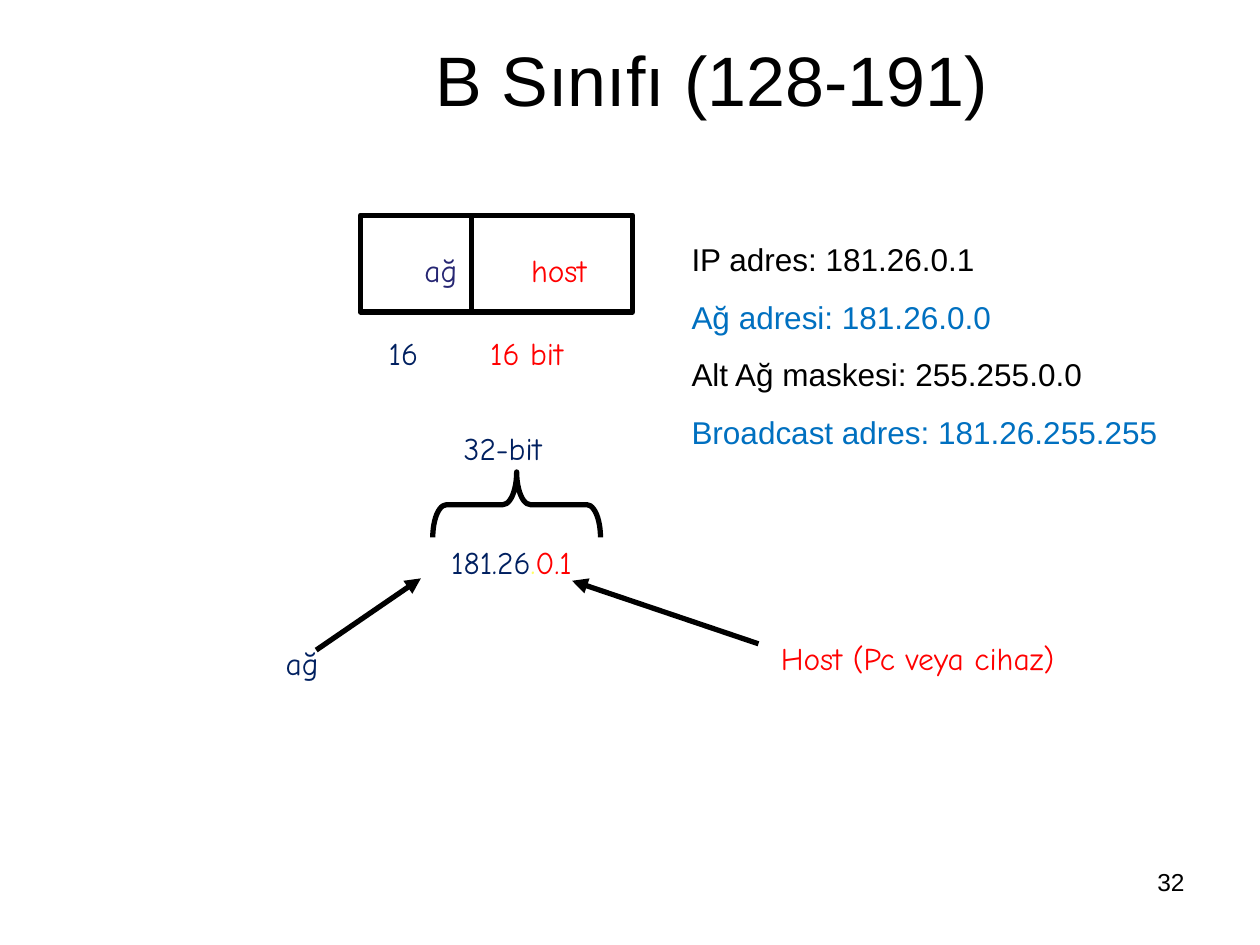
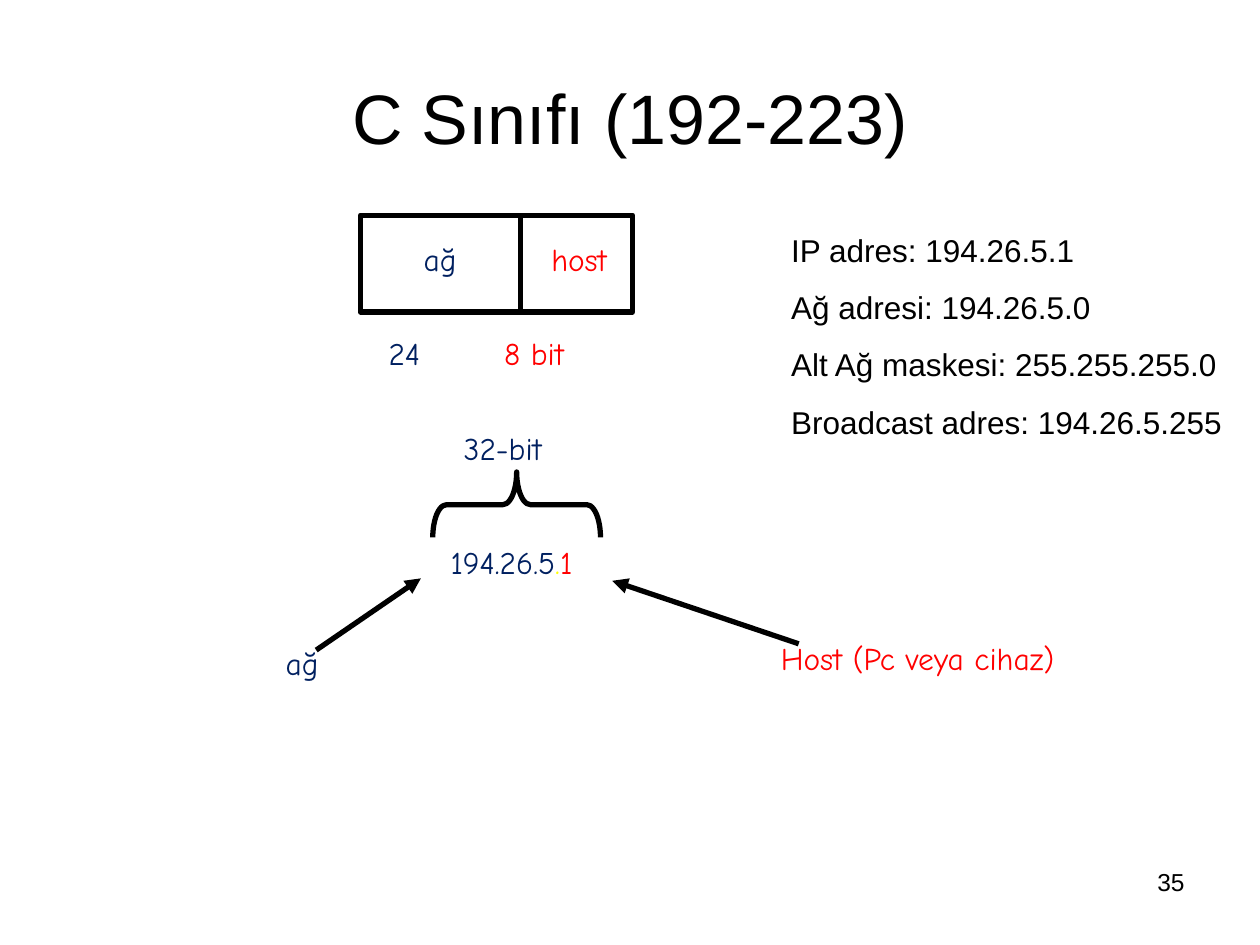
import collections

import pptx
import pptx.dml.color
import pptx.enum.shapes
import pptx.enum.text
import pptx.oxml
import pptx.oxml.ns
import pptx.util
from lxml import etree

Pt = pptx.util.Pt
ALIGN = pptx.enum.text.PP_ALIGN
ANCHOR = pptx.enum.text.MSO_ANCHOR
SHAPE = pptx.enum.shapes.MSO_SHAPE

BLACK, NAVY, INDIGO, RED, BLUE = "000000", "002060", "262673", "FF0000", "0070C0"
PALE_YELLOW, YELLOW = "FFFF66", "FFFF00"
SANS, HAND = "Arial", "Comic Neue"
STROKE = 3
LABEL_HEIGHT = 28.8

Box = collections.namedtuple("Box", "left top width height")

TITLE_STYLE = {"name": SANS, "size": Pt(40)}
FACT_STYLE = {"name": SANS, "size": Pt(18)}
LABEL_STYLE = {"name": HAND, "size": Pt(18)}
PAGE_STYLE = {"name": SANS, "size": Pt(14)}

FIELDS_BOX = Box(206, 123, 155.5, 55.4)
ADDRESS_BOX = Box(156.2, 240.5, 455, 152.6)
PAGE_BOX = Box(516.2, 491.8, 167.8, 37.4)

CLASSES = [
    {
        "title": "B Sınıfı (128-191)",
        "title_box": Box(82.8, 0, 648, 90),
        "divider": 63.4,
        "fields": [("\tağ", INDIGO), ("\thost", RED)],
        "fields_drop": 16.7,
        "field_tabs": [29.5, 90.4],
        "bits": [("16", NAVY), ("\t16 bit", RED)],
        "bits_tab": 58,
        "address": [("181.26", NAVY), (".", PALE_YELLOW), ("0.1", RED)],
        "host_arrow": 170.7,
        "facts": [
            ("IP adres: 181.26.0.1", BLACK),
            ("Ağ adresi: 181.26.0.0", BLUE),
            ("Alt Ağ maskesi: 255.255.0.0", BLACK),
            ("Broadcast adres: 181.26.255.255", BLUE),
        ],
        "facts_box": Box(388.1, 133.9, 292.3, 127.4),
        "page": "32",
    },
    {
        "title": "C Sınıfı (192-223)",
        "title_box": Box(36, 21.6, 648, 90),
        "divider": 91.4,
        "fields": [("\tağ", NAVY), ("\thost", RED)],
        "fields_drop": 10.9,
        "field_tabs": [29, 102],
        "bits": [("24", NAVY), ("\t8 bit", RED)],
        "bits_tab": 66,
        "address": [("194.26.5", NAVY), (".", YELLOW), ("1", RED)],
        "host_arrow": 193.7,
        "facts": [
            ("IP adres: 194.26.5.1", BLACK),
            ("Ağ adresi: 194.26.5.0", BLACK),
            ("Alt Ağ maskesi: 255.255.255.0", BLACK),
            ("Broadcast adres: 194.26.5.255", BLACK),
        ],
        "facts_box": Box(445, 128.2, 275, 160.6),
        "page": "35",
    },
]


def rgb(hex_color):
    return pptx.dml.color.RGBColor.from_string(hex_color)


def within(box, left, top, width, height=LABEL_HEIGHT):
    return Box(box.left + left, box.top + top, width, height)


def apply_format(target, values):
    for attribute, value in values.items():
        setattr(target, attribute, value)


def set_tabs(paragraph, positions):
    tab_list = etree.SubElement(
        paragraph._p.get_or_add_pPr(), pptx.oxml.ns.qn("a:tabLst")
    )
    for position in positions:
        etree.SubElement(
            tab_list, pptx.oxml.ns.qn("a:tab"), pos=str(Pt(position)), algn="l"
        )


def add_text(slide, box, lines, style, paragraph_format=None, wrap=True,
             anchor=ANCHOR.TOP, tabs=()):
    frame = slide.shapes.add_textbox(*map(Pt, box)).text_frame
    apply_format(frame, {"word_wrap": wrap, "vertical_anchor": anchor})
    for index, pieces in enumerate(lines):
        paragraph = frame.add_paragraph() if index else frame.paragraphs[0]
        apply_format(paragraph, paragraph_format or {})
        if tabs:
            set_tabs(paragraph, tabs)
        for words, color in pieces:
            run = paragraph.add_run()
            run.text = words
            apply_format(run.font, style)
            run.font.color.rgb = rgb(color)


def add_label(slide, box, words, color):
    add_text(slide, box, [[(words, color)]], LABEL_STYLE, wrap=False)


def draw_stroke(line):
    line.color.rgb = rgb(BLACK)
    line.width = Pt(STROKE)


def add_outline(slide, preset, box):
    outline = slide.shapes.add_shape(preset, *map(Pt, box))
    outline.shadow.inherit = False
    outline.fill.background()
    draw_stroke(outline.line)
    return outline


def add_line(slide, box, start, end, arrow=False):
    ends = [
        Pt(origin + offset)
        for point in (start, end)
        for origin, offset in zip(box[:2], point)
    ]
    line = slide.shapes.add_connector(
        pptx.enum.shapes.MSO_CONNECTOR.STRAIGHT, *ends
    )
    draw_stroke(line.line)
    properties = line._element.spPr
    if arrow:
        etree.SubElement(
            line.line._get_or_add_ln(), pptx.oxml.ns.qn("a:tailEnd"), type="triangle"
        )
    etree.SubElement(properties, pptx.oxml.ns.qn("a:effectLst"))


def add_title(slide, box, title):
    add_text(slide, box, [[(title, BLACK)]], TITLE_STYLE,
             {"alignment": ALIGN.CENTER}, anchor=ANCHOR.MIDDLE)


def add_fields(slide, box, network):
    add_text(slide, within(box, 0, network["fields_drop"], box.width),
             [network["fields"]], LABEL_STYLE, tabs=network["field_tabs"])
    add_outline(slide, SHAPE.RECTANGLE, box)
    divider = network["divider"]
    add_line(slide, box, (divider, 0), (divider, box.height))
    add_text(slide, within(box, 9, 64.2, 130), [network["bits"]], LABEL_STYLE,
             tabs=[network["bits_tab"]])


def add_address(slide, box, network):
    add_text(slide, within(box, 68.4, 66.2, 135.4), [network["address"]], LABEL_STYLE,
             {"alignment": ALIGN.CENTER}, anchor=ANCHOR.MIDDLE)
    brace = add_outline(slide, SHAPE.LEFT_BRACE, within(box, 120.3, 0, 37.4, 95.8))
    brace.rotation = 90
    brace.adjustments[0] = 0.21
    brace.adjustments[1] = 0.5
    add_label(slide, within(box, 0, 123.8, 33.1), "ağ", NAVY)
    add_line(slide, box, (24.5, 131), (84.3, 90), arrow=True)
    add_label(slide, within(box, 101.6, 1.4, 59), "32-bit", NAVY)
    add_label(slide, within(box, 283, 120.9, 172), "Host (Pc veya cihaz)", RED)
    tip = network["host_arrow"]
    add_line(slide, box, (tip + 106.5, 127.4), (tip, 91.4), arrow=True)


def add_facts(slide, box, facts):
    add_text(slide, box, [[fact] for fact in facts], FACT_STYLE,
             {"space_before": Pt(11.2)})


def add_page_number(slide, box, page):
    add_text(slide, box, [[(page, BLACK)]], PAGE_STYLE, {"alignment": ALIGN.RIGHT})


def add_class_slide(deck, network):
    slide = deck.slides.add_slide(deck.slide_layouts[6])
    add_title(slide, network["title_box"], network["title"])
    add_fields(slide, FIELDS_BOX, network)
    add_address(slide, ADDRESS_BOX, network)
    add_facts(slide, network["facts_box"], network["facts"])
    add_page_number(slide, PAGE_BOX, network["page"])


def main():
    deck = pptx.Presentation()
    apply_format(deck, {"slide_width": Pt(720), "slide_height": Pt(540)})
    for network in CLASSES:
        add_class_slide(deck, network)
    deck.save("out.pptx")


if __name__ == "__main__":
    main()
